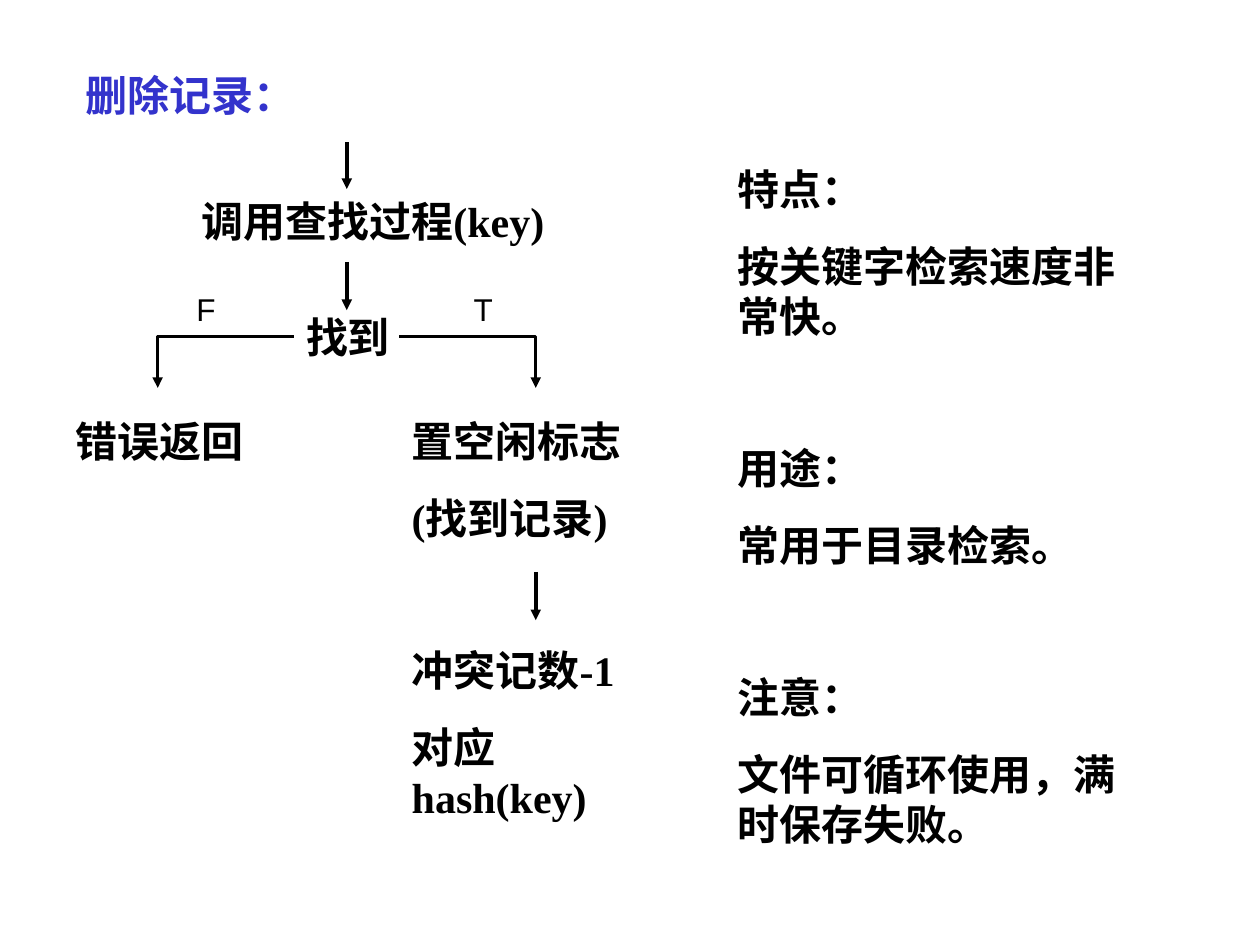
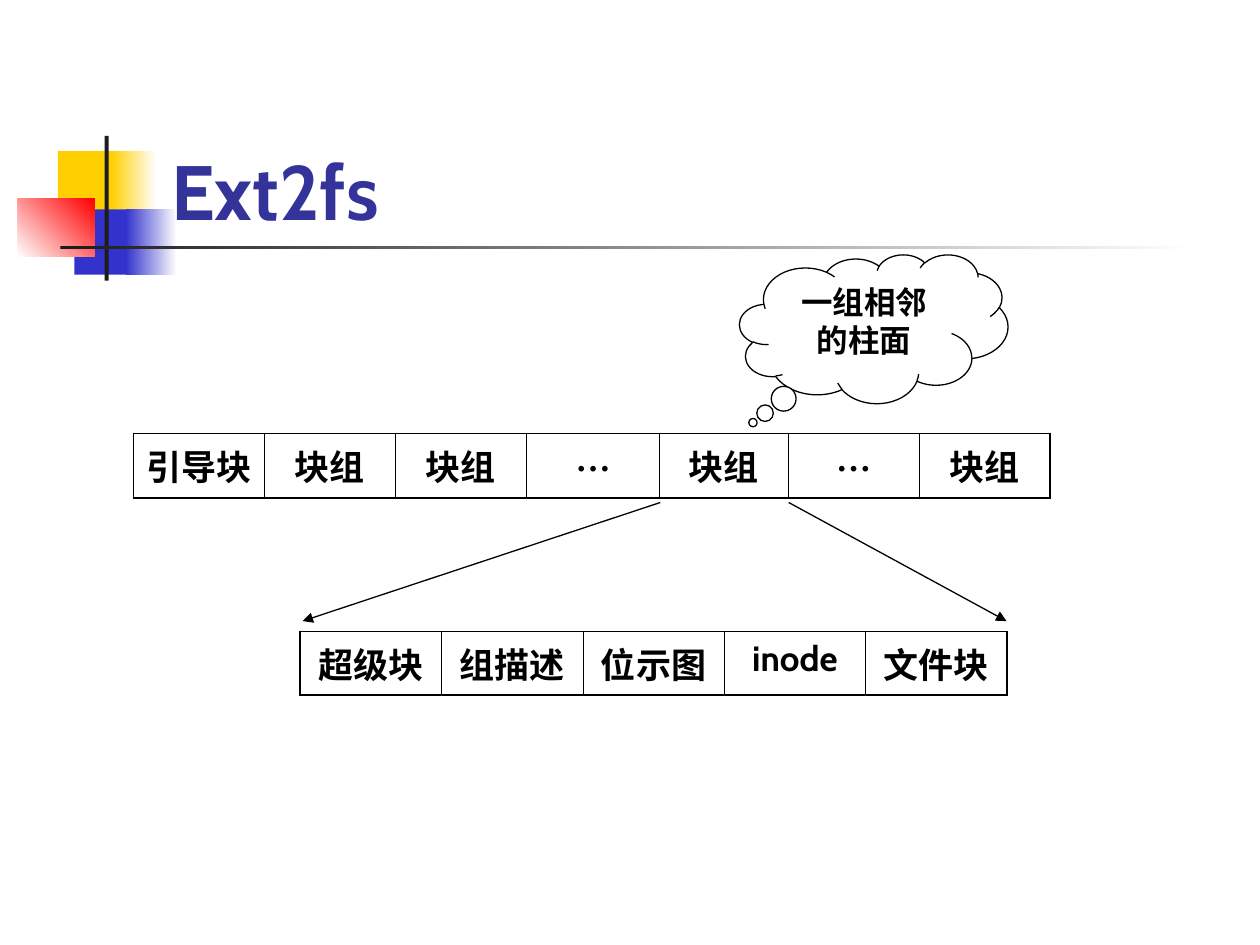
from dataclasses import dataclass

from lxml.etree import SubElement
from pptx import Presentation
from pptx.dml.color import RGBColor as RGB
from pptx.enum.shapes import MSO_CONNECTOR as CONN, MSO_SHAPE as SHAPE
from pptx.enum.text import MSO_ANCHOR as ANCHOR, PP_ALIGN as ALIGN
from pptx.oxml.ns import qn
from pptx.util import Cm, Pt


@dataclass(frozen=True)
class Theme:
    black: str = "000000"
    white: str = "FFFFFF"
    ink: str = "1C1C1C"
    blue: str = "3333CC"
    navy: str = "333399"
    yellow: str = "FFCF01"
    red: str = "FF0000"
    serif: str = "Times New Roman"
    sans: str = "Arial"
    display: str = "Cabin"
    title: int = 44
    body: int = 24
    cell: int = 20
    label: int = 18
    gap: int = 15
    section_gap: int = 58


T = Theme()


def write(tf, lines, size, font, color=T.black, bold=True, align=ALIGN.LEFT, sections=()):
    tf.word_wrap = True
    for i, line in enumerate(lines):
        p = tf.add_paragraph() if i else tf.paragraphs[0]
        p.text = line
        p.alignment = align
        if i:
            p.space_before = Pt(T.section_gap if i in sections else T.gap)
        p.font.size, p.font.name, p.font.bold = Pt(size), font, bold
        p.font.color.rgb = RGB.from_string(color)


def make_arrow(s, width):
    s.line.color.rgb = RGB.from_string(T.black)
    s.line.width = Pt(width)
    spPr = s.element.spPr
    SubElement(spPr.find(qn("a:ln")), qn("a:tailEnd"), type="triangle")
    SubElement(spPr, qn("a:effectLst"))


prs = Presentation()
prs.slide_width, prs.slide_height = Cm(25.4), Cm(19.05)
blank = prs.slide_layouts[6]

slide = prs.slides.add_slide(blank)
steps = [
    (1.47, 1.27, 4.88, 1.27, ["删除记录："], T.blue, ()),
    (3.81, 3.81, 7.42, 2.29, ["调用查找过程(key)"], T.black, ()),
    (5.92, 6.15, 2.54, 1.27, ["找到"], T.black, ()),
    (1.27, 8.26, 4.45, 1.27, ["错误返回"], T.black, ()),
    (8.05, 8.26, 5.72, 8.48,
     ["置空闲标志", "(找到记录)", "冲突记数-1", "对应hash(key)"], T.black, (2,)),
    (14.61, 3.18, 8.69, 14.12,
     ["特点：", "按关键字检索速度非常快。", "用途：", "常用于目录检索。",
      "注意：", "文件可循环使用，满时保存失败。"], T.black, (2, 4)),
]
for x, y, w, h, lines, color, sections in steps:
    s = slide.shapes.add_textbox(Cm(x), Cm(y), Cm(w), Cm(h))
    write(s.text_frame, lines, T.body, T.serif, color, sections=sections)

for x, y1, y2 in [(6.99, 2.87, 3.81), (6.99, 5.28, 6.25), (10.8, 11.53, 12.5)]:
    make_arrow(slide.shapes.add_connector(CONN.STRAIGHT, Cm(x), Cm(y1), Cm(x), Cm(y2)), 2)

for start, end, label, label_x in [(8.05, 10.8, "T", 9.3), (5.92, 3.18, "F", 3.71)]:
    fb = slide.shapes.build_freeform(Cm(start), Cm(6.78))
    fb.add_line_segments([(Cm(end), Cm(6.78)), (Cm(end), Cm(7.82))], close=False)
    s = fb.convert_to_shape()
    s.fill.background()
    make_arrow(s, 2)
    s = slide.shapes.add_textbox(Cm(label_x), Cm(5.72), Cm(0.99), Cm(1.02))
    write(s.text_frame, [label], T.label, T.sans, bold=False)

slide = prs.slides.add_slide(blank)
ornaments = [
    (1.17, 3.05, 1.22, 1.32, [T.yellow], 0),
    (2.24, 3.05, 0.91, 1.32, [T.yellow, T.white], 0),
    (1.5, 4.22, 1.17, 1.32, [T.blue], 0),
    (2.54, 4.22, 1.02, 1.32, [T.blue, T.white], 0),
    (0.36, 4.01, 1.55, 1.17, [T.white, T.red], 45),
    (2.11, 2.74, 0.08, 2.92, [T.ink], 0),
    (1.22, 4.95, 22.86, 0.08, [T.ink, T.white], 0),
]
for x, y, w, h, colors, angle in ornaments:
    s = slide.shapes.add_shape(SHAPE.RECTANGLE, Cm(x), Cm(y), Cm(w), Cm(h))
    s.shadow.inherit = False
    s.line.fill.background()
    if len(colors) == 1:
        s.fill.solid()
        s.fill.fore_color.rgb = RGB.from_string(colors[0])
    else:
        s.fill.gradient()
        s.fill.gradient_angle = angle
        for stop, color in zip(s.fill.gradient_stops, colors):
            stop.color.rgb = RGB.from_string(color)

strips = [
    (2.69, 8.74, 1.3, [2.64, 2.64, 2.64, 2.69, 2.59, 2.64, 2.64],
     ["引导块", "块组", "块组", "…", "块组", "…", "块组"]),
    (6.05, 12.73, 1.19, [2.85] * 5, ["超级块", "组描述", "位示图", "inode", "文件块"]),
]
for x, y, h, widths, names in strips:
    table = slide.shapes.add_table(
        1, len(names), Cm(x), Cm(y), Cm(sum(widths)), Cm(h)).table
    table.first_row = table.horz_banding = False
    for i, (width, name) in enumerate(zip(widths, names)):
        table.columns[i].width = Cm(width)
        cell = table.cell(0, i)
        write(cell.text_frame, [name], T.cell, T.serif if name == "…" else T.display,
              align=ALIGN.CENTER)
        outer = {"lnL": i == 0, "lnR": i == len(names) - 1, "lnT": True, "lnB": True}
        tcPr = cell._tc.get_or_add_tcPr()
        for side, thick in outer.items():
            ln = SubElement(tcPr, qn(f"a:{side}"), w=str(Pt(1.08 if thick else 0.45)))
            SubElement(SubElement(ln, qn("a:solidFill")), qn("a:srgbClr"), val=T.black)
        cell.fill.background()

for x1, x2, y2 in [(13.31, 13.31, 10.13), (13.31, 6.1, 12.52), (15.9, 20.29, 12.52)]:
    make_arrow(slide.shapes.add_connector(CONN.STRAIGHT, Cm(x1), Cm(10.13), Cm(x2), Cm(y2)), 0.75)

s = slide.shapes.add_textbox(Cm(3.2), Cm(1.7), Cm(21.64), Cm(3.18))
s.text_frame.vertical_anchor = ANCHOR.BOTTOM
write(s.text_frame, ["Ext2fs"], T.title, T.display, T.navy)

s = slide.shapes.add_shape(SHAPE.CLOUD_CALLOUT, Cm(14.91), Cm(5.13), Cm(5.41), Cm(3))
s.adjustments[0], s.adjustments[1] = -0.45, 0.63
s.shadow.inherit = False
s.fill.solid()
s.fill.fore_color.rgb = RGB.from_string(T.white)
s.line.color.rgb = RGB.from_string(T.black)
s.line.width = Pt(0.75)
s.text_frame.vertical_anchor = ANCHOR.TOP
write(s.text_frame, ["一组相邻的柱面"], T.label, T.sans, align=ALIGN.CENTER)

prs.save("out.pptx")
